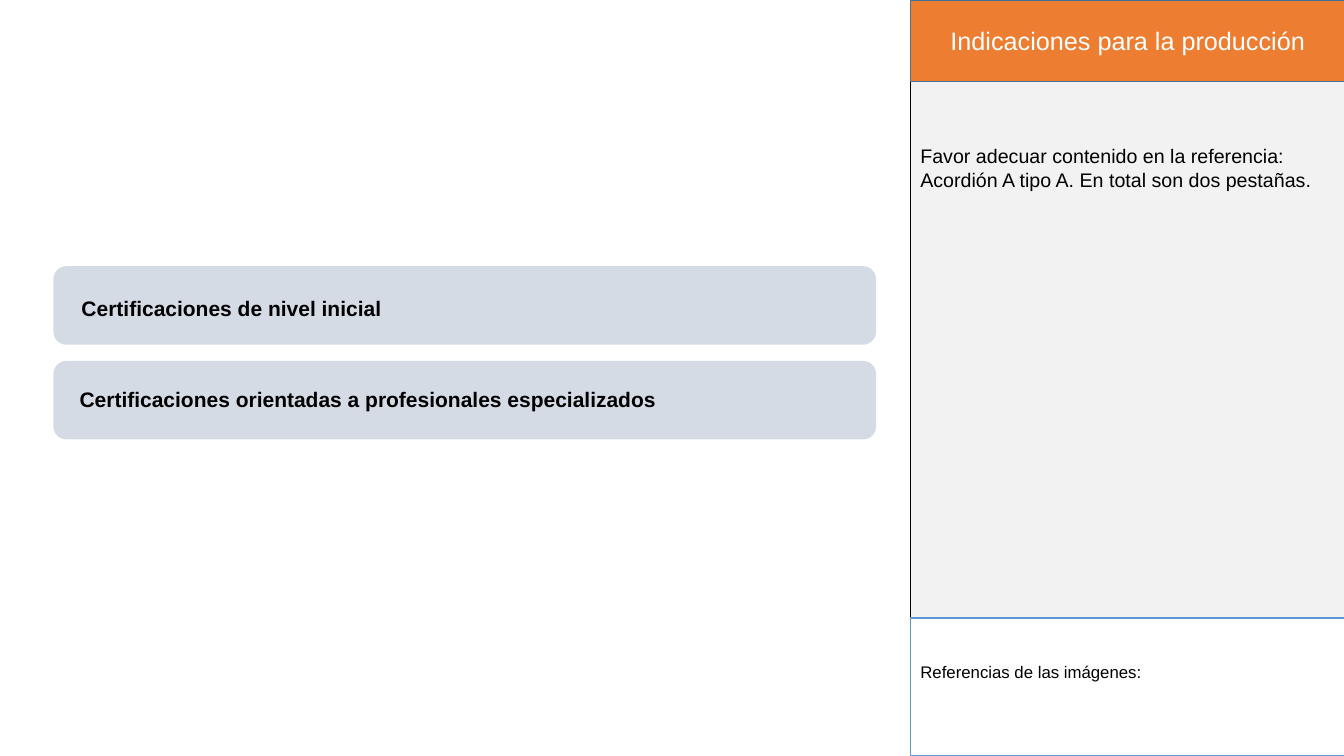
from pptx import Presentation
from pptx.dml.color import RGBColor
from pptx.enum.shapes import MSO_SHAPE
from pptx.enum.text import MSO_ANCHOR, MSO_AUTO_SIZE, PP_ALIGN
from pptx.util import Inches, Pt

# Content
TITLE = "Indicaciones para la producción"
INSTRUCTIONS = ("Favor adecuar contenido en la referencia: Acordión A tipo A. "
                "En total son dos pestañas.")
REFERENCES = "Referencias de las imágenes:"
TABS = [  # text, label left, label top, label width
    ("Certificaciones de nivel inicial", 0.71, 2.85, 3.2),
    ("Certificaciones orientadas a profesionales especializados", 0.69, 3.75, 5.98),
]

# Colours
BLACK = RGBColor(0x00, 0x00, 0x00)
WHITE = RGBColor(0xFF, 0xFF, 0xFF)
PANEL_GREY = RGBColor(0xF2, 0xF2, 0xF2)
ORANGE = RGBColor(0xED, 0x7D, 0x31)
DARK_BLUE = RGBColor(0x42, 0x71, 0x9B)
BLUE = RGBColor(0x5B, 0x9B, 0xD5)
TAB_GREY = RGBColor(0xD5, 0xDB, 0xE5)

# Layout in inches
SLIDE_W, SLIDE_H = 13.33, 7.5
PANEL_X, PANEL_W = 9.03, 4.31
HEADER_H, FOOTER_Y = 0.81, 6.13
TAB_X, TAB_Y, TAB_W, TAB_H, TAB_STEP = 0.53, 2.64, 8.16, 0.78, 0.94


def write(sp, text, size=14, color=BLACK, bold=False, align=PP_ALIGN.LEFT,
          anchor=MSO_ANCHOR.TOP, spacing=1.0, bottom=0.05):
    tf = sp.text_frame
    tf.word_wrap = True
    tf.auto_size = MSO_AUTO_SIZE.NONE
    tf.vertical_anchor = anchor
    tf.margin_left = tf.margin_right = Inches(0.1)
    tf.margin_top, tf.margin_bottom = Inches(0.05), Inches(bottom)
    p = tf.paragraphs[0]
    p.alignment, p.line_spacing = align, spacing
    p.space_before = Pt(0)
    r = p.add_run()
    r.text = text
    r.font.name, r.font.size, r.font.bold = "Arial", Pt(size), bold
    r.font.color.rgb = color


def paint(sp, fill, line=None):
    sp.fill.solid()
    sp.fill.fore_color.rgb = fill
    if line is None:
        sp.line.fill.background()
    else:
        sp.line.color.rgb = line
        sp.line.width = Pt(1)


def add_box(s, kind, box, fill, line=None):
    sp = s.shapes.add_shape(kind, *map(Inches, box))
    sp.shadow.inherit = False
    paint(sp, fill, line)
    return sp


def add_label(s, box, text, **fmt):
    write(s.shapes.add_textbox(*map(Inches, box)), text, **fmt)


prs = Presentation()
prs.slide_width, prs.slide_height = Inches(SLIDE_W), Inches(SLIDE_H)
s = prs.slides.add_slide(prs.slide_layouts[5])

# Side panel with instructions
add_box(s, MSO_SHAPE.RECTANGLE, (PANEL_X, 0, PANEL_W, SLIDE_H), PANEL_GREY, BLACK)
add_label(s, (PANEL_X, 1.38, 4.33, 3.3), INSTRUCTIONS)

# Panel header, brought in front of the panel
title = s.shapes.title
title.left, title.top = Inches(PANEL_X), Inches(0)
title.width, title.height = Inches(PANEL_W), Inches(HEADER_H)
paint(title, ORANGE, DARK_BLUE)
write(title, TITLE, size=18, color=WHITE, align=PP_ALIGN.CENTER,
      anchor=MSO_ANCHOR.MIDDLE)
title.element.getparent().append(title.element)

# Panel footer
footer = add_box(s, MSO_SHAPE.RECTANGLE,
                 (PANEL_X, FOOTER_Y, PANEL_W, SLIDE_H - FOOTER_Y), WHITE, BLUE)
write(footer, REFERENCES, size=12, anchor=MSO_ANCHOR.MIDDLE, bottom=0.34)

# Accordion tabs
for i, (text, x, y, w) in enumerate(TABS):
    add_box(s, MSO_SHAPE.ROUNDED_RECTANGLE,
            (TAB_X, TAB_Y + i * TAB_STEP, TAB_W, TAB_H), TAB_GREY)
    add_label(s, (x, y, w, 0.37), text, size=15, bold=True,
              align=PP_ALIGN.JUSTIFY, spacing=1.15)

prs.save("out.pptx")
